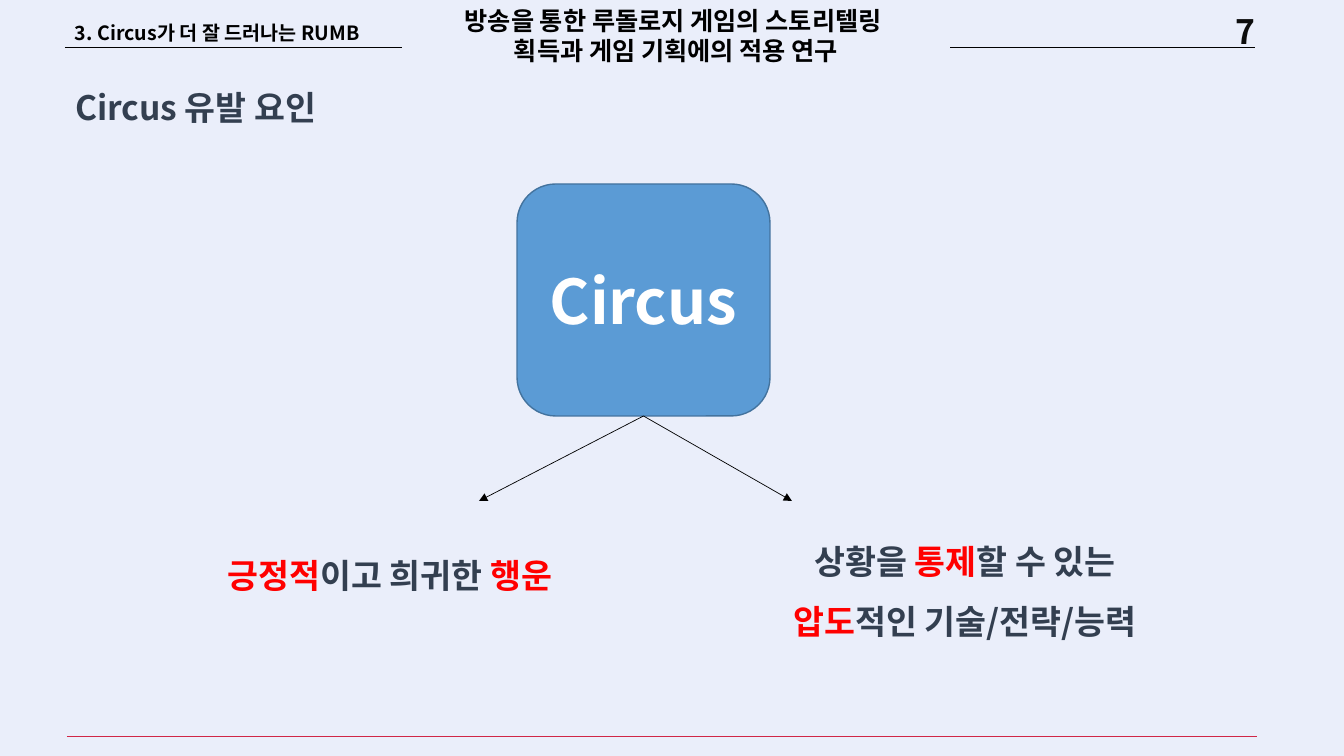
from pptx import Presentation
from pptx import util as u
from pptx.dml.color import RGBColor
from pptx.enum import shapes, text
from pptx.oxml.ns import qn
from lxml import etree

PALE = RGBColor(0xEA, 0xEE, 0xFA)
CRIMSON = RGBColor(0xD0, 0x26, 0x46)
BLACK = RGBColor(0, 0, 0)
INK = RGBColor(0x0D, 0x0D, 0x0D)
SLATE = RGBColor(0x33, 0x3F, 0x50)
RED = RGBColor(0xFF, 0, 0)
BLUE = RGBColor(0x5B, 0x9B, 0xD5)
BLUE_EDGE = RGBColor(0x43, 0x73, 0x9E)
WHITE = RGBColor(0xFF, 0xFF, 0xFF)
PX = 914400 / 100.8


def write(box, lines, size, align, spacing=1.0, anchor=text.MSO_ANCHOR.MIDDLE):
    frame = box.text_frame
    frame.word_wrap = True
    frame.auto_size = text.MSO_AUTO_SIZE.NONE
    frame.vertical_anchor = anchor
    for i, parts in enumerate(lines):
        line = frame.add_paragraph() if i else frame.paragraphs[0]
        line.alignment = align
        line.line_spacing = spacing
        line.font.name = "Noto Sans CJK KR"
        line.font.size = u.Pt(size)
        line.font.bold = True
        if len(parts) == 1:
            line.font.color.rgb = parts[0][1]
        for words, color in parts:
            for j, piece in enumerate(words.split("\n")):
                if j:
                    line.add_line_break()
                run = line.add_run()
                run.text = piece
                run.font.language_id = None
                etree.SubElement(run.font._element, qn("a:ea"), typeface="Noto Sans CJK KR")
                if len(parts) > 1:
                    run.font.color.rgb = color


def rule(x1, y1, x2, y2, color):
    line = slide.shapes.add_connector(
        shapes.MSO_CONNECTOR.STRAIGHT, *[round(n * PX) for n in (x1, y1, x2, y2)])
    line.line.color.rgb = color
    line.line.width = u.Pt(0.5)
    etree.SubElement(line._element.spPr, qn("a:effectLst"))
    return line


deck = Presentation()
deck.slide_width, deck.slide_height = round(1344 * PX), round(756 * PX)
slide = deck.slides.add_slide(deck.slide_layouts[5])
slide.background.fill.solid()
slide.background.fill.fore_color.rgb = PALE
LEFT, CENTER = text.PP_ALIGN.LEFT, text.PP_ALIGN.CENTER
TOP = text.MSO_ANCHOR.TOP

rule(67, 736, 1257, 736, CRIMSON)
rule(65, 47, 1255, 47, BLACK)

thesis = slide.shapes.add_shape(
    shapes.MSO_SHAPE.RECTANGLE, *[round(n * PX) for n in (402, 0, 548, 72)])
thesis.shadow.inherit = False
thesis.fill.solid()
thesis.fill.fore_color.rgb = PALE
thesis.line.fill.background()
write(thesis, [[("방송을 통한 루돌로지 게임의 스토리텔링 \n획득과 게임 기획에의 적용 연구", BLACK)]],
      18, CENTER, anchor=TOP)

heading = slide.shapes.title
heading.left, heading.top, heading.width, heading.height = [
    round(n * PX) for n in (65, 65, 452, 64)]
write(heading, [[("Circus 유발 요인", SLATE)]], 24, LEFT, 1.5)

captions = [
    ((1164, 6, 162, 40), [[("7", INK)]], 24, CENTER, 1.0, TOP),
    ((65, 6, 319, 41), [[("3. Circus가 더 잘 드러나는 RUMB", BLACK)]],
     14, LEFT, 1.5, text.MSO_ANCHOR.MIDDLE),
    ((164, 529, 452, 72), [[("긍정적", RED), ("이고 희귀한 ", SLATE), ("행운", RED)]],
     24, CENTER, 1.5, text.MSO_ANCHOR.MIDDLE),
    ((739, 515, 452, 132),
     [[("상황을 ", SLATE), ("통제", RED), ("할 수 있는", SLATE)],
      [("압도", RED), ("적인 기술/전략/능력", SLATE)]],
     24, CENTER, 1.5, text.MSO_ANCHOR.MIDDLE),
]
for place, lines, size, align, spacing, anchor in captions:
    caption = slide.shapes.add_textbox(*[round(n * PX) for n in place])
    write(caption, lines, size, align, spacing, anchor)

circus = slide.shapes.add_shape(
    shapes.MSO_SHAPE.ROUNDED_RECTANGLE, *[round(n * PX) for n in (517, 184, 253, 232)])
circus.shadow.inherit = False
circus.fill.solid()
circus.fill.fore_color.rgb = BLUE
circus.line.color.rgb = BLUE_EDGE
circus.line.width = u.Pt(1)
write(circus, [[("Circus", WHITE)]], 44, CENTER)

for tip in (479, 792):
    arrow = rule(643, 416, tip, 501, BLACK)
    arrow.begin_connect(circus, 2)
    etree.SubElement(arrow.line._get_or_add_ln(), qn("a:tailEnd"), type="triangle")

deck.save("out.pptx")
